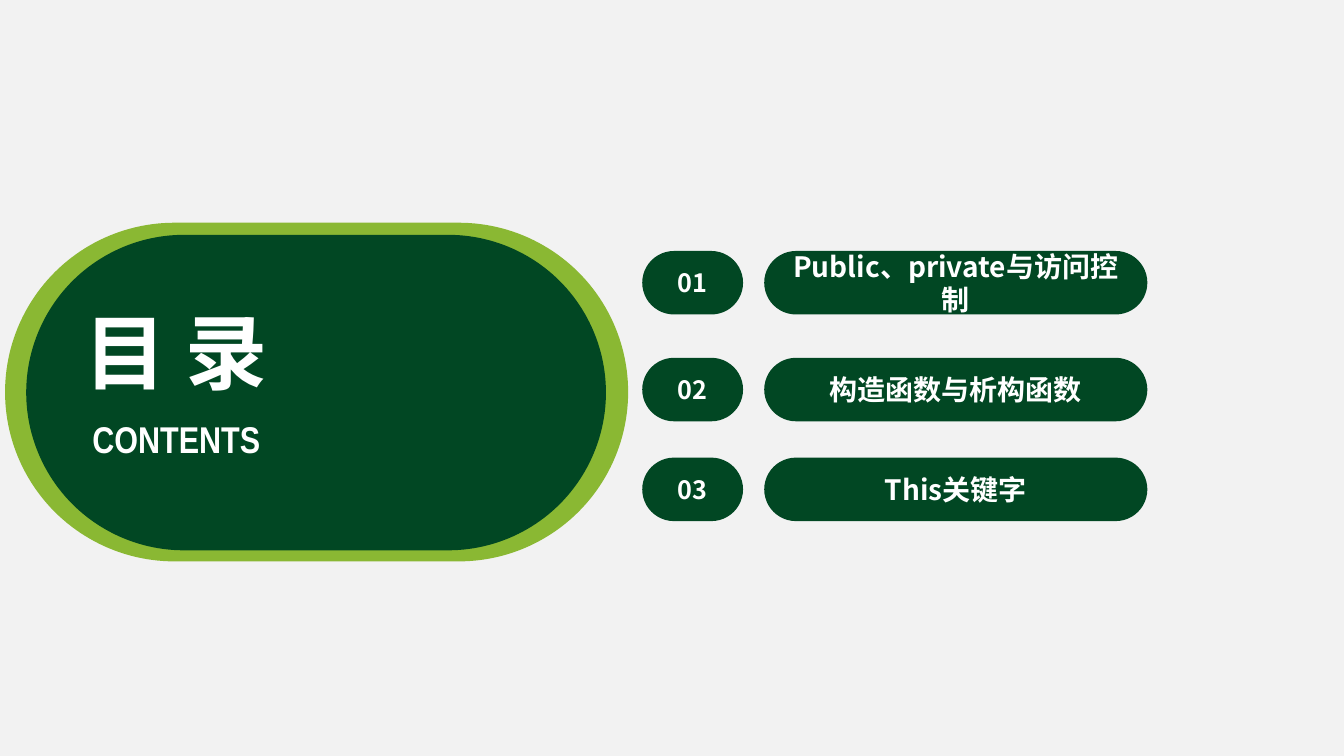
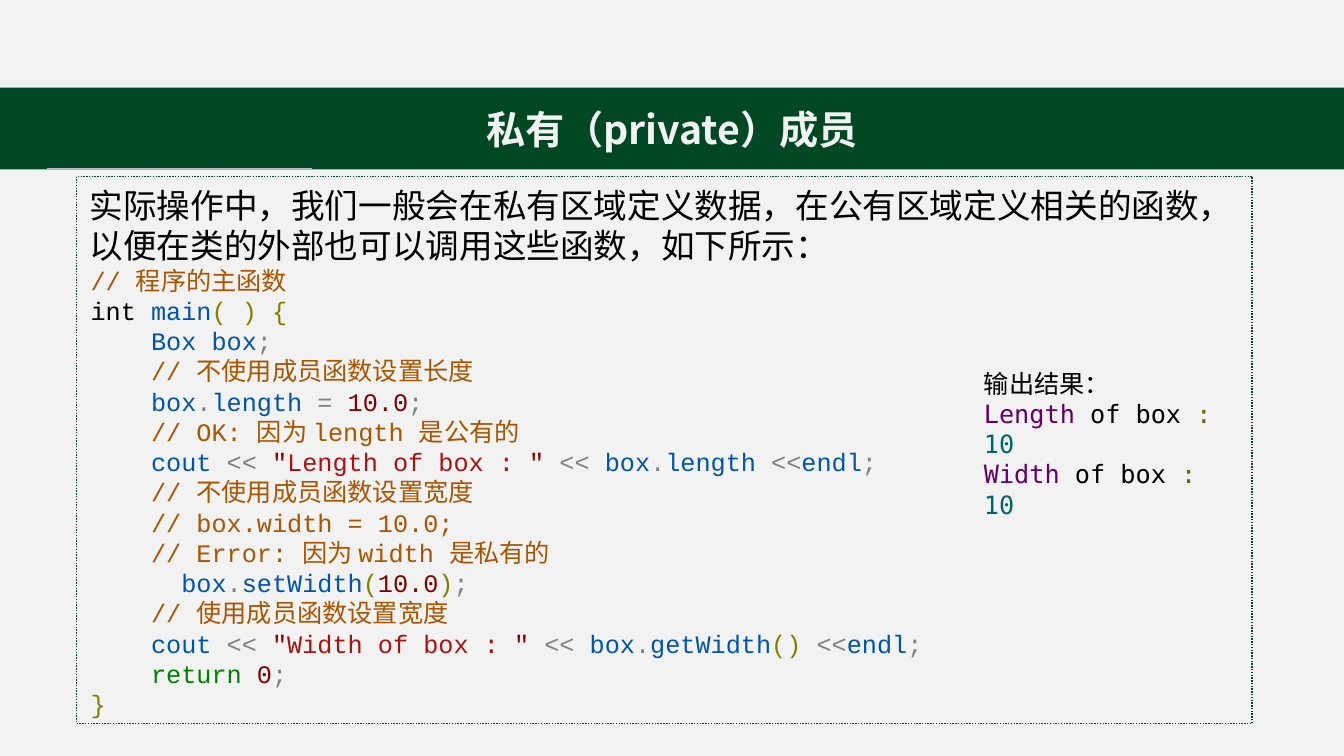
from dataclasses import dataclass, field

from lxml import etree
from pptx import Presentation
from pptx import util as u
from pptx.dml.color import RGBColor
from pptx.enum import dml, shapes, text
from pptx.oxml import ns


@dataclass(frozen=True)
class Theme:
    sans: str = "Noto Sans CJK SC"
    slim: str = "Arial Narrow"
    code: str = "Courier New"
    mono: str = "DejaVu Sans Mono"
    lead: float = 1.2  # line height as a share of the type size
    size: dict = field(default_factory=lambda: dict(
        cover=58.6, sub=26.6, title=28, intro=24, item=20, code=18))
    tone: dict = field(default_factory=lambda: dict(
        page="F2F2F2", white="FFFFFF", black="000000", rule="BFBFBF",
        green="014723", band="004723", lime="8AB833",
        note="AA5500", name="0055AA", op="808080", brace="808000",
        num="800000", key="008000", quote="8B0000", string="AA1111",
        word="660066", colon="666600", value="006666"))


T = Theme()
LEFT, MID = text.PP_ALIGN.LEFT, text.PP_ALIGN.CENTER
KIND = shapes.MSO_SHAPE


def rgb(tone):
    return RGBColor.from_string(T.tone[tone])


def put(item, **look):
    for key, value in look.items():
        setattr(item, key, value)


def place(item, box):
    put(item, **dict(zip(("left", "top", "width", "height"), map(u.Inches, box))))


def write(frame, lines, size, face=T.sans, bold=False, align=LEFT, pad=None,
          anchor=text.MSO_ANCHOR.TOP, wrap=True):
    """Fill a frame; each line is a list of (tone, words) or (tone, words, face)."""
    put(frame, word_wrap=wrap, vertical_anchor=anchor,
        auto_size=text.MSO_AUTO_SIZE.NONE)
    if pad is not None:
        put(frame, **{f"margin_{side}": u.Inches(pad)
                      for side in ("left", "top", "right", "bottom")})
    points = T.size[size]
    for i, line in enumerate(lines):
        para = frame.paragraphs[0] if i == 0 else frame.add_paragraph()
        put(para, alignment=align, line_spacing=u.Pt(round(points * T.lead, 1)))
        for tone, words, *own in line:
            run = para.add_run()
            run.text = words
            put(run.font, size=u.Pt(points), bold=bold,
                name=own[0] if own else face)
            run.font.color.rgb = rgb(tone)
            east = etree.SubElement(run.font._element, ns.qn("a:ea"))
            east.set("typeface", T.sans)


def label(slide, box, lines, size, **look):
    item = slide.shapes.add_textbox(*map(u.Inches, box))
    write(item.text_frame, lines, size, **look)


def shape(slide, kind, box, fill=None):
    item = slide.shapes.add_shape(kind, *map(u.Inches, box))
    item.shadow.inherit = False
    item.line.fill.background()
    if fill:
        item.fill.solid()
        item.fill.fore_color.rgb = rgb(fill)
    else:
        item.fill.background()
    return item


def pill(slide, box, fill, words="", size="item"):
    item = shape(slide, KIND.ROUNDED_RECTANGLE, box, fill)
    item.adjustments[0] = 0.5
    if words:
        write(item.text_frame, [[("white", words)]], size, bold=True,
              align=MID, anchor=text.MSO_ANCHOR.MIDDLE)


def title(slide, box, words, size, tone, **look):
    item = slide.shapes.title
    place(item, box)
    write(item.text_frame, [[(tone, words)]], size, bold=True, align=MID,
          anchor=text.MSO_ANCHOR.MIDDLE, **look)
    slide.shapes._spTree.append(item._element)  # bring to front
    return item


def badge(slide, box, head, sub):
    x, y, w, h = box
    pill(slide, box, "lime")
    pill(slide, (x + 0.21, y + 0.12, w - 0.43, h - 0.23), "green")
    title(slide, (x + 0.65, y + 0.72, 2.09, 1.09), head, "cover", "white",
          wrap=False)
    label(slide, (x + 0.57, y + 1.87, 2.26, 0.55), [[("white", sub)]], "sub",
          face=T.slim, bold=True, align=MID, wrap=False)


def entry(slide, box, num, words):
    x, y, w, h = box
    pill(slide, (x, y, 1, h), "green", num, "code")
    pill(slide, (x + 1.21, y, w - 1.21, h), "green", words)


def contents(slide):
    badge(slide, (0.05, 2.21, 6.18, 3.36), "目 录", "CONTENTS")
    items = ("Public、private与访问控制", "构造函数与析构函数", "This关键字")
    for i, (top, words) in enumerate(zip((2.49, 3.55, 4.54), items), 1):
        entry(slide, (6.37, top, 5.01, 0.63), f"{i:02}", words)


def band(slide, box, words):
    x, y, w, h = box
    item = title(slide, box, words, "title", "page")
    item.fill.solid()
    item.fill.fore_color.rgb = rgb("band")
    rule = slide.shapes.add_connector(
        shapes.MSO_CONNECTOR.STRAIGHT,
        *map(u.Inches, (x + 0.47, y + h - 0.01, x + 3.09, y + h - 0.01)))
    rule.line.color.rgb = rgb("rule")
    rule.line.width = u.Pt(0.5)
    etree.SubElement(rule._element.spPr, ns.qn("a:effectLst"))


STEP, END = ("op", "    "), ("op", ";")


def note(words):
    return [STEP, ("note", "// " + words)]


def member(name):
    return [("name", "box"), ("op", "."), ("name", name)]


def show(words, *value):
    """Code line that prints a label and a value."""
    return [STEP, ("name", "cout"), ("op", " << "), ("quote", '"'),
            ("string", words + " of box : "), ("quote", '"'), ("op", " << "),
            *value, ("op", " <<"), ("name", "endl"), END]


CODE = [
    [("note", "// 程序的主函数")],
    [("black", "int "), ("name", "main"), ("brace", "( ) {")],
    [STEP, ("name", "Box box"), END],
    note("不使用成员函数设置长度"),
    [STEP, *member("length"), ("op", " = "), ("num", "10.0"), END],
    note("OK: 因为 length 是公有的"),
    show("Length", *member("length")),
    note("不使用成员函数设置宽度"),
    note("box.width = 10.0;"),
    note("Error: 因为 width 是私有的"),
    [("op", "      "), *member("setWidth"), ("brace", "("), ("num", "10.0"),
     ("brace", ")"), END],
    note("使用成员函数设置宽度"),
    show("Width", *member("getWidth"), ("brace", "()")),
    [STEP, ("key", "return "), ("num", "0"), END],
    [("brace", "}")],
]

RESULT = [[("black", "输出结果：", T.sans)]] + [
    [("word", word), ("black", " of box "), ("colon", ": "), ("value", "10")]
    for word in ("Length", "Width")]

INTRO = ("实际操作中，我们一般会在私有区域定义数据，在公有区域定义相关的函数，"
         "以便在类的外部也可以调用这些函数，如下所示：")


def panel(slide, box):
    x, y, w, h = box
    edge = shape(slide, KIND.RECTANGLE, box).line
    edge.color.rgb = rgb("band")
    put(edge, width=u.Pt(1), dash_style=dml.MSO_LINE.ROUND_DOT)
    label(slide, (x + 0.13, y + 0.08, w - 0.22, 0.81), [[("black", INTRO)]],
          "intro", pad=0)
    label(slide, (x + 0.04, y + 0.83, 8.67, 4.64), CODE, "code", face=T.code)
    label(slide, (x + 8.9, y + 1.85, 2.48, 1.31), RESULT, "code", face=T.mono)


def private(slide):
    band(slide, (0, 0.87, 13.33, 0.81), "私有（private）成员")
    panel(slide, (0.76, 1.75, 11.66, 5.43))


def main():
    deck = Presentation()
    put(deck, slide_width=u.Inches(13.33), slide_height=u.Inches(7.5))
    back = deck.slide_master.background.fill
    back.solid()
    back.fore_color.rgb = rgb("page")
    for build in (contents, private):
        build(deck.slides.add_slide(deck.slide_layouts.get_by_name("Title Only")))
    deck.save("out.pptx")


if __name__ == "__main__":
    main()
